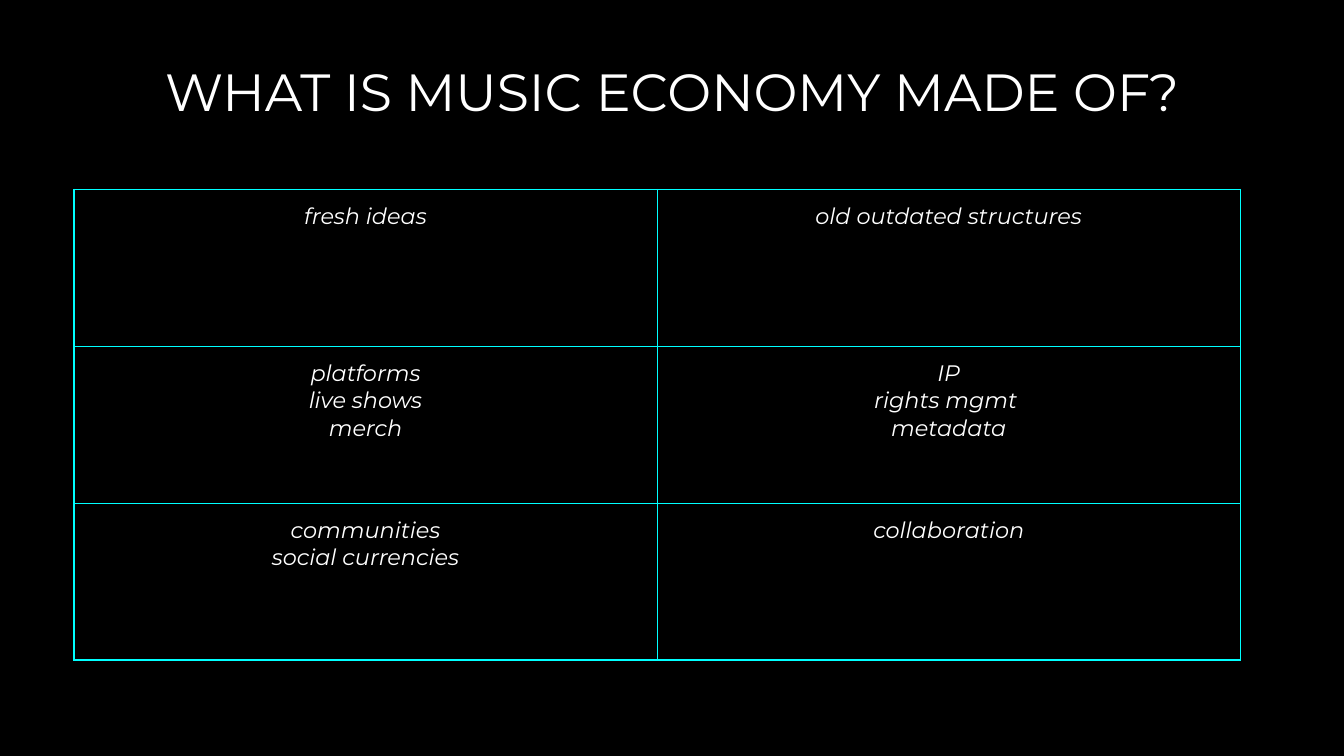
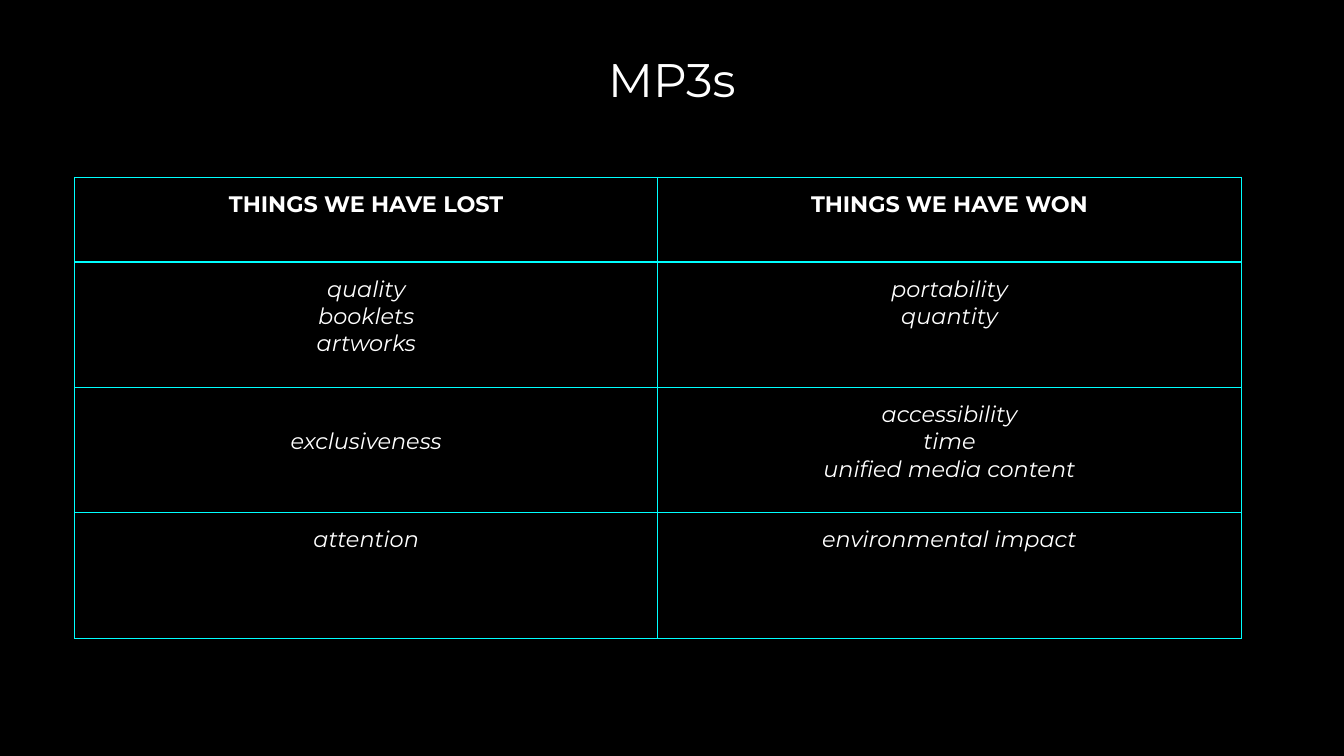
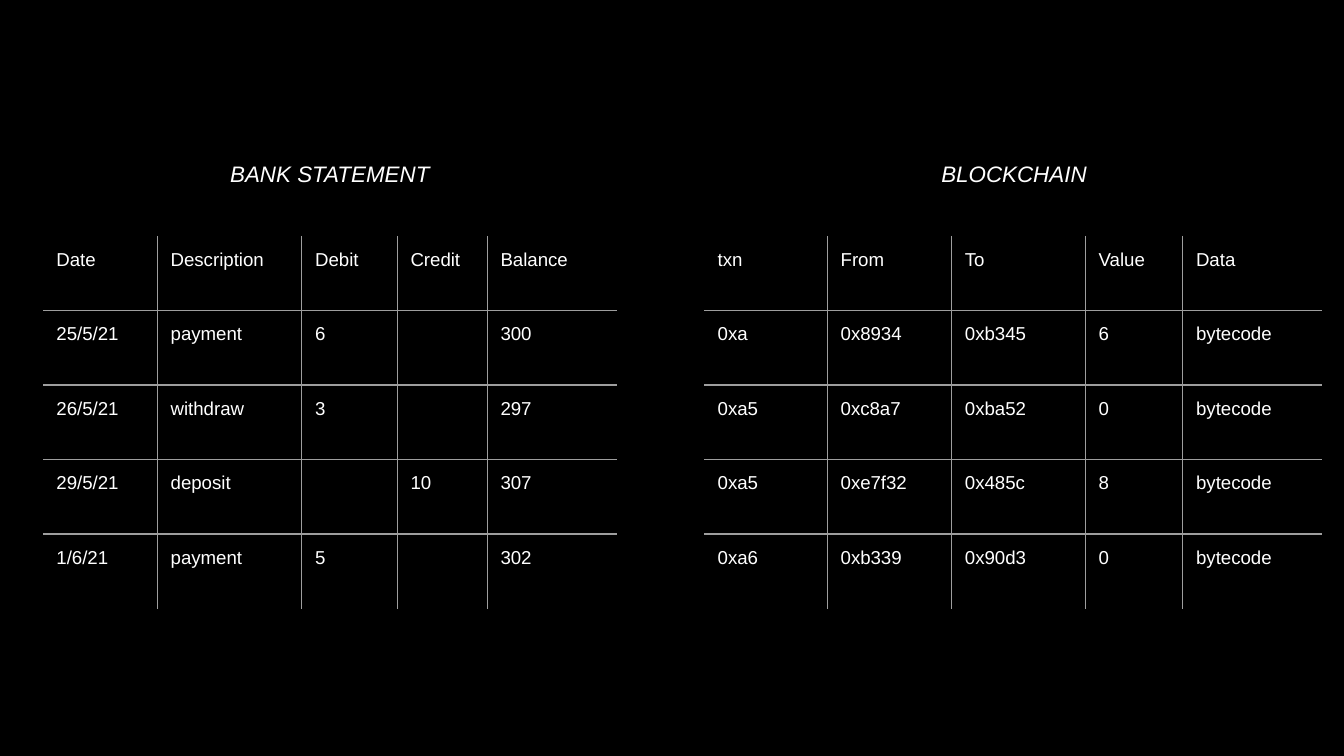
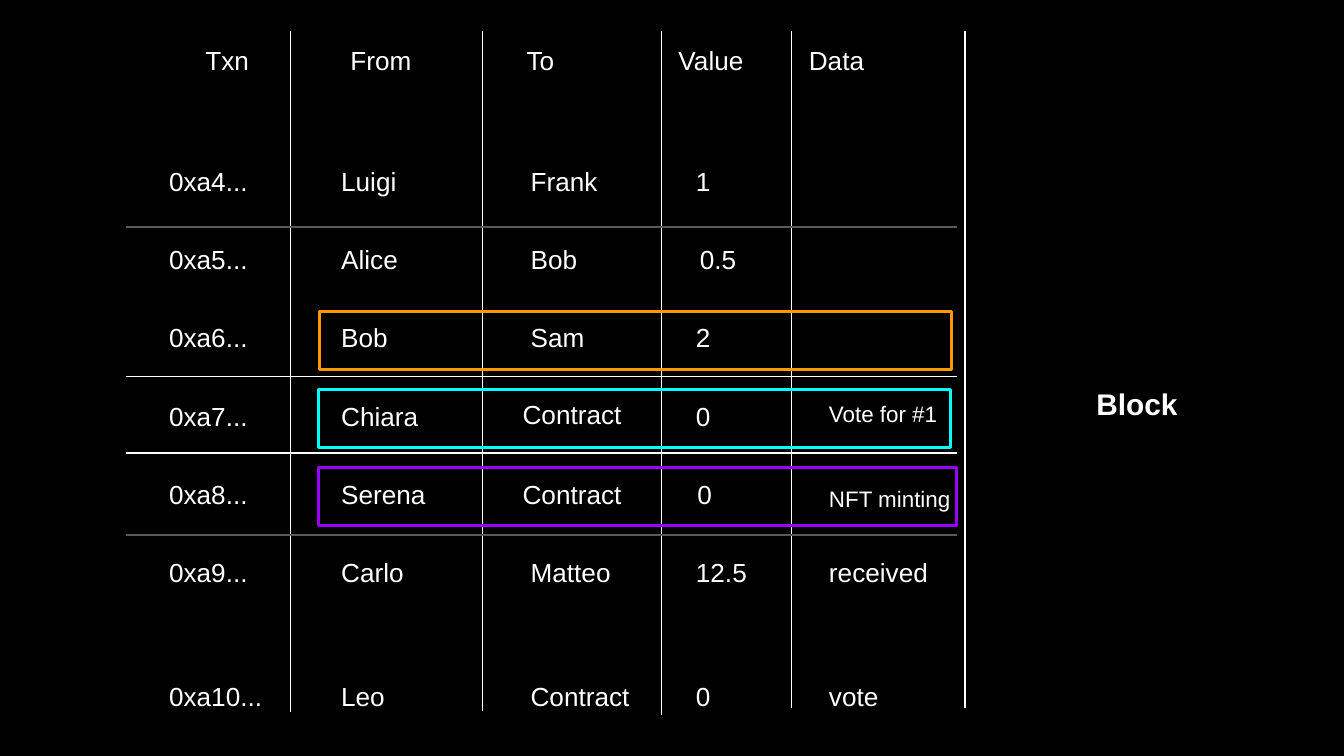
from lxml.etree import SubElement
from pptx import Presentation
from pptx.dml.color import RGBColor
from pptx.enum.shapes import MSO_CONNECTOR, MSO_SHAPE
from pptx.enum.text import MSO_ANCHOR, MSO_AUTO_SIZE, PP_ALIGN
from pptx.oxml import parse_xml
from pptx.oxml.ns import nsdecls, qn
from pptx.util import Inches, Pt

BLACK, WHITE, CYAN = "000000", "FFFFFF", "00FFFF"
GREY, DARK_GREY, ORANGE, PURPLE = "9E9E9E", "595959", "FF9900", "9900FF"
DISPLAY, BODY = "Montserrat", "Arial"
COLUMNS = 100
TITLE_ONLY, BLANK = 5, 6


def color(value):
    """Turn a hex string into a colour."""
    return RGBColor.from_string(value)


class Deck:
    """Hold the style and the current slide, on a grid of 100 columns and square rows."""

    def __init__(self):
        self.presentation = Presentation()
        self.presentation.slide_width = Inches(10)
        self.presentation.slide_height = Inches(5.625)
        background = self.presentation.slide_master.background.fill
        background.solid()
        background.fore_color.rgb = color(BLACK)
        self.slide = None

    def grid(self, *lengths):
        """Turn columns or rows into lengths on the slide."""
        return [round(self.presentation.slide_width * length / COLUMNS) for length in lengths]

    def add_slide(self, layout=BLANK):
        """Start a new slide."""
        self.slide = self.presentation.slides.add_slide(self.presentation.slide_layouts[layout])

    def styled_run(self, paragraph, text, size, font=BODY, bold=False, italic=False,
                   align=PP_ALIGN.LEFT):
        """Add one white run to a paragraph."""
        paragraph.alignment = align
        run = paragraph.add_run()
        run.text = text
        run.font.name, run.font.size = font, Pt(size)
        run.font.bold, run.font.italic = bold, italic
        run.font.color.rgb = color(WHITE)

    def set_margins(self, target):
        """Give a text frame or a cell the shared inner margin."""
        margin, = self.grid(1)
        target.margin_left = target.margin_right = margin
        target.margin_top = target.margin_bottom = margin

    def title(self, text, top, height, size):
        """Add a slide whose title is centred in the shared band."""
        self.add_slide(TITLE_ONLY)
        title = self.slide.shapes.title
        title.left, title.top, title.width, title.height = self.grid(3.4, top, 93.2, height)
        frame = title.text_frame
        frame.auto_size, frame.word_wrap = MSO_AUTO_SIZE.NONE, True
        frame.vertical_anchor = MSO_ANCHOR.MIDDLE
        self.set_margins(frame)
        self.styled_run(frame.paragraphs[0], text, size, DISPLAY, align=PP_ALIGN.CENTER)

    def text(self, box, text, size=14, tabs=(), **style):
        """Add a text box, with optional tab stops."""
        frame = self.slide.shapes.add_textbox(*self.grid(*box)).text_frame
        frame.word_wrap = True
        self.set_margins(frame)
        paragraph = frame.paragraphs[0]
        if tabs:
            stops = SubElement(paragraph._p.get_or_add_pPr(), qn("a:tabLst"))
            for position in self.grid(*tabs):
                SubElement(stops, qn("a:tab"), pos=str(position), algn="l")
        self.styled_run(paragraph, text, size, **style)

    def line(self, left, top, right, bottom, line_color=WHITE):
        """Add a thin straight line."""
        connector = self.slide.shapes.add_connector(
            MSO_CONNECTOR.STRAIGHT, *self.grid(left, top, right, bottom))
        connector.line.color.rgb = color(line_color)
        connector.line.width = Pt(0.75)
        SubElement(connector._element.spPr, qn("a:effectLst"))

    def outline(self, box, line_color):
        """Add an unfilled rectangle."""
        shape = self.slide.shapes.add_shape(MSO_SHAPE.RECTANGLE, *self.grid(*box))
        shape.shadow.inherit = False
        shape.fill.background()
        shape.line.color.rgb = color(line_color)
        shape.line.width = Pt(1.5)

    def borders(self, cell, line_color, visible):
        """Draw a cell's left, right, top and bottom borders where visible."""
        properties = cell._tc.get_or_add_tcPr()
        for index, (side, shown) in enumerate(zip("LRTB", visible)):
            fill = f'<a:solidFill><a:srgbClr val="{line_color}"/></a:solidFill>' if shown else "<a:noFill/>"
            properties.insert(index, parse_xml(
                f'<a:ln{side} {nsdecls("a")} w="{Pt(0.75)}">{fill}</a:ln{side}>'))

    def table(self, left, top, widths, heights, rows, line_color, framed=True, style=None,
              header_style=None, lowered=()):
        """Add a table; lowered cells start their text one line further down."""
        table = self.slide.shapes.add_table(
            len(rows), len(widths), *self.grid(left, top, sum(widths), sum(heights))).table
        table.first_row = table.horz_banding = False
        for column, width in zip(table.columns, self.grid(*widths)):
            column.width = width
        for row, height in zip(table.rows, self.grid(*heights)):
            row.height = height
        last_row, last_column = len(rows) - 1, len(widths) - 1
        for r, texts in enumerate(rows):
            for c, text in enumerate(texts):
                cell = table.cell(r, c)
                self.set_margins(cell)
                if (r, c) in lowered:
                    cell.margin_top, = self.grid(3)
                cell.fill.background()
                self.borders(cell, line_color, (
                    framed or c > 0, framed or c < last_column,
                    framed or r > 0, framed or r < last_row))
                cell_style = header_style if header_style and r == 0 else style
                frame = cell.text_frame
                for index, line in enumerate(text.split("\n") if text else []):
                    paragraph = frame.add_paragraph() if index else frame.paragraphs[0]
                    self.styled_run(paragraph, line, **cell_style)


IDEA = dict(size=12, font=DISPLAY, italic=True, align=PP_ALIGN.CENTER)
IDEA_HEADER = dict(size=12, font=DISPLAY, bold=True, align=PP_ALIGN.CENTER)
IDEA_WIDTHS = [43.4] * 2


def music_economy(deck):
    """Build the slide on what the music economy is made of."""
    deck.title("WHAT IS MUSIC ECONOMY MADE OF?", 3.2, 7.1, 28)
    deck.table(5.5, 14.1, IDEA_WIDTHS, [11.67] * 3, [
        ("fresh ideas", "old outdated structures"),
        ("platforms\nlive shows\nmerch", "IP\nrights mgmt \nmetadata"),
        ("communities\nsocial currencies", "collaboration"),
    ], CYAN, style=IDEA)


def lost_and_won(deck):
    """Build the slide on losses and gains."""
    deck.title("MP3s", 2.7, 6.3, 25.2)
    deck.table(5.55, 13.2, IDEA_WIDTHS, [6.3] + [9.33] * 3, [
        ("THINGS WE HAVE LOST", "THINGS WE HAVE WON"),
        ("quality\nbooklets\nartworks", "portability\nquantity"),
        ("exclusiveness", "accessibility\ntime\nunified media content"),
        ("attention", "environmental impact"),
    ], CYAN, style=IDEA, header_style=IDEA_HEADER, lowered=[(2, 0)])


def statement_and_chain(deck):
    """Build the slide comparing a bank statement with a blockchain."""
    deck.add_slide()
    statement = [
        ("Date", "Description", "Debit", "Credit", "Balance"),
        ("25/5/21", "payment", "6", "", "300"),
        ("26/5/21", "withdraw", "3", "", "297"),
        ("29/5/21", "deposit", "", "10", "307"),
        ("1/6/21", "payment", "5", "", "302"),
    ]
    chain = [
        ("txn", "From", "To", "Value", "Data"),
        ("0xa", "0x8934", "0xb345", "6", "bytecode"),
        ("0xa5", "0xc8a7", "0xba52", "0", "bytecode"),
        ("0xa5", "0xe7f32", "0x485c", "8", "bytecode"),
        ("0xa6", "0xb339", "0x90d3", "0", "bytecode"),
    ]
    for heading, heading_left, left, widths, rows in (
        ("BANK STATEMENT", 12.5, 3.2, [8.5, 10.75, 7.1, 6.7, 9.7], statement),
        ("BLOCKCHAIN", 63.4, 52.4, [9.15, 9.25, 9.95, 7.25, 10.4], chain),
    ):
        deck.table(left, 17.55, widths, [5.55] * 5, rows, GREY, framed=False, style=dict(size=10))
        deck.text((heading_left, 10.9, 24.1, 4), heading, 12, italic=True, align=PP_ALIGN.CENTER)


def block(deck):
    """Build the slide showing the transactions in a block."""
    deck.add_slide()
    deck.text((14.3, 2.3, 83.4, 9.7), "Txn\tFrom\tTo\tValue\tData", tabs=(10.8, 23.9, 35.2, 44.9))
    for x, bottom in ((21.6, 53), (35.9, 52.9), (49.2, 53.2), (58.9, 52.7), (71.8, 52.7)):
        deck.line(x, 2.3, x, bottom)
    for y, line_color in ((16.9, DARK_GREY), (28, WHITE), (33.7, WHITE), (39.8, DARK_GREY)):
        deck.line(9.4, y, 71.2, y, line_color)

    transactions = [
        ("0xa4...", "Luigi", "Frank", "1", ""),
        ("0xa5...", "Alice", "Bob", "0.5", ""),
        ("0xa6...", "Bob", "Sam", "2", ""),
        ("0xa7...", "Chiara", "Contract", "0", "Vote for #1"),
        ("0xa8...", "Serena", "Contract", "0", "NFT minting"),
        ("0xa9...", "Carlo", "Matteo", "12.5", "received"),
        ("0xa10...", "Leo", "Contract", "0", "vote"),
    ]
    fields = ((11.6, 10), (24.4, 10.7), (38.5, 11.6), (50.8, 7), (60.7, 13.7))
    tops = [11.3 + 5.82 * index for index in range(6)] + [49.6]
    nudges = {(1, 3): (0.3, 0), (3, 2): (-0.6, -0.1), (4, 2): (-0.6, 0),
              (4, 3): (0.1, 0), (4, 4): (0, 0.5)}
    small = {(3, 4), (4, 4)}
    for row, (top, transaction) in enumerate(zip(tops, transactions)):
        for column, ((left, width), text) in enumerate(zip(fields, transaction)):
            if text:
                across, down = nudges.get((row, column), (0, 0))
                deck.text((left + across, top + down, width, 4.3), text,
                          12 if (row, column) in small else 14)

    for left, top, width, line_color in (
        (23.8, 23.2, 47, ORANGE), (23.7, 29, 47, CYAN), (23.7, 34.8, 47.5, PURPLE),
    ):
        deck.outline((left, top, width, 4.3), line_color)
    deck.text((80.6, 27.7, 12.6, 6.4), "Block", 16, bold=True)


def main():
    """Build and save the slides."""
    deck = Deck()
    for build in (music_economy, lost_and_won, statement_and_chain, block):
        build(deck)
    deck.presentation.save("out.pptx")


if __name__ == "__main__":
    main()
